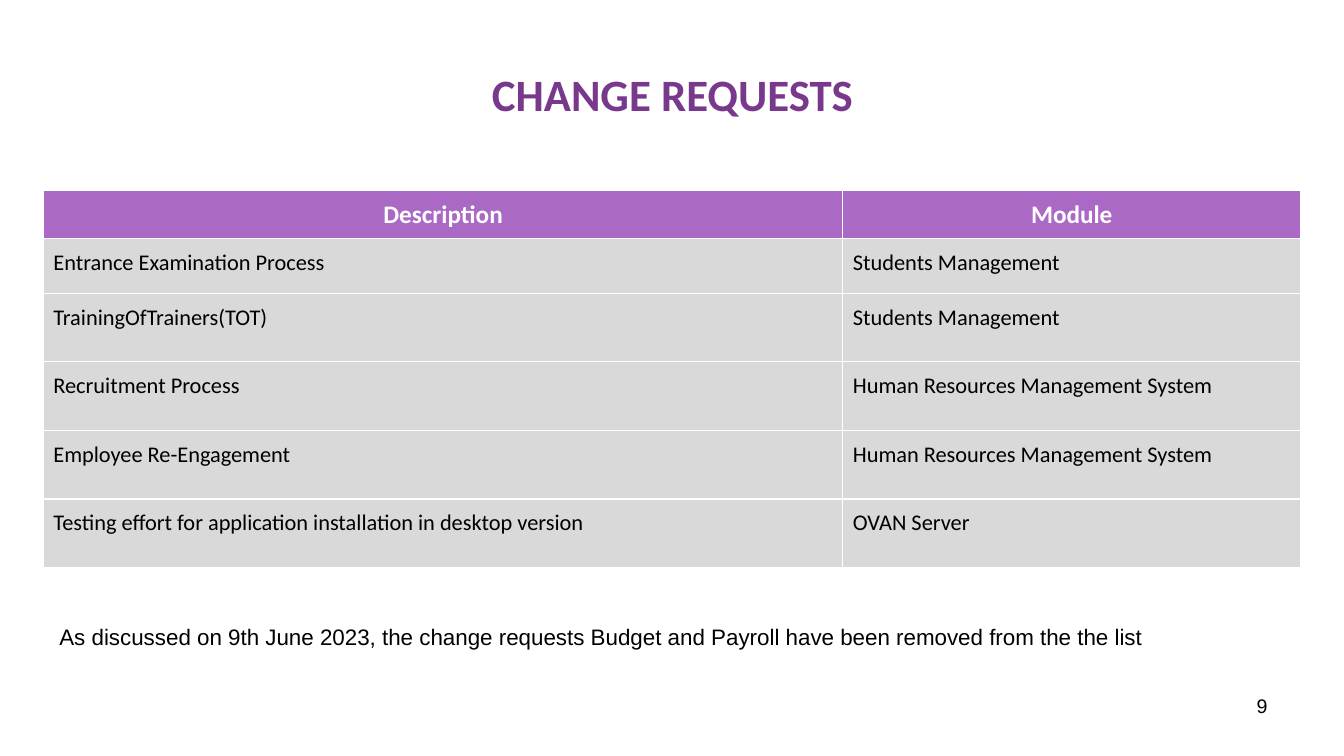
"""Build the change requests slide: a title, a table, a remark and a page number."""
from lxml.etree import SubElement
from pptx import Presentation
from pptx.dml.color import RGBColor as Rgb
from pptx.enum.text import MSO_ANCHOR as Anchor, PP_ALIGN as Align
from pptx.oxml.ns import qn
from pptx.util import Inches, Pt

HUES = {"title": "78398D", "head": "A969C4", "body": "D9D9D9",
        "white": "FFFFFF", "black": "000000"}
HEAD = {"size": Pt(18), "name": "Calibri", "bold": True}
BODY = {"size": Pt(16), "name": "Calibri", "bold": False}
ROWS = [
    ("Description", "Module"),
    ("Entrance Examination Process", "Students Management"),
    ("TrainingOfTrainers(TOT)", "Students Management"),
    ("Recruitment Process", "Human Resources Management System"),
    ("Employee Re-Engagement", "Human Resources Management System"),
    ("Testing effort for application installation in desktop version", "OVAN Server"),
]
WIDE = [7.93, 4.54]
HIGH = [0.48, 0.54] + [0.68] * 4


def write(frame, text, hue, form, align=Align.LEFT):
    """Fill a text frame with one formatted paragraph."""
    frame.word_wrap = True
    para = frame.paragraphs[0]
    para.alignment = align
    run = para.add_run()
    run.text = text
    run.font.color.rgb = Rgb.from_string(HUES[hue])
    for key, val in form.items():
        setattr(run.font, key, val)
    return para


def edge(cell):
    """Draw a thin white line on each side of a cell."""
    props = cell._tc.get_or_add_tcPr()
    for side in ("lnL", "lnR", "lnT", "lnB"):
        line = SubElement(props, qn(f"a:{side}"), w=str(Pt(1)))
        fill = SubElement(line, qn("a:solidFill"))
        SubElement(fill, qn("a:srgbClr"), val=HUES["white"])


deck = Presentation()
deck.slide_width, deck.slide_height = Inches(13.33), Inches(7.5)
slide = deck.slides.add_slide(deck.slide_layouts[5])
shapes = slide.shapes

title = shapes.title
spot = {"left": 0.67, "top": 0.3, "width": 12, "height": 1.25}
for key, val in spot.items():
    setattr(title, key, Inches(val))
title.text_frame.vertical_anchor = Anchor.MIDDLE
write(title.text_frame, "CHANGE REQUESTS", "title",
      {**HEAD, "size": Pt(32)}, Align.CENTER)

table = shapes.add_table(len(ROWS), len(WIDE), Inches(0.43), Inches(1.89),
                         Inches(sum(WIDE)), Inches(sum(HIGH))).table
for col, wide in zip(table.columns, WIDE):
    col.width = Inches(wide)
for row, high, texts in zip(table.rows, HIGH, ROWS):
    row.height = Inches(high)
    top = texts == ROWS[0]
    for cell, text in zip(row.cells, texts):
        edge(cell)
        cell.fill.solid()
        cell.fill.fore_color.rgb = Rgb.from_string(HUES["head" if top else "body"])
        if top:
            cell.vertical_anchor = Anchor.MIDDLE
            write(cell.text_frame, text, "white", HEAD, Align.CENTER)
        else:
            write(cell.text_frame, text, "black", BODY).line_spacing = 1.2

NOTES = [
    ((0.49, 6.13, 12.18, 0.37), 16, Align.LEFT,
     "As discussed on 9th June 2023, the change requests Budget and Payroll "
     "have been removed from the the list"),
    ((9.56, 6.83, 3.11, 0.52), 14, Align.RIGHT, "9"),
]
for place, size, align, text in NOTES:
    box = shapes.add_textbox(*map(Inches, place))
    write(box.text_frame, text, "black", {"size": Pt(size), "name": "Arial"}, align)

deck.save("out.pptx")
